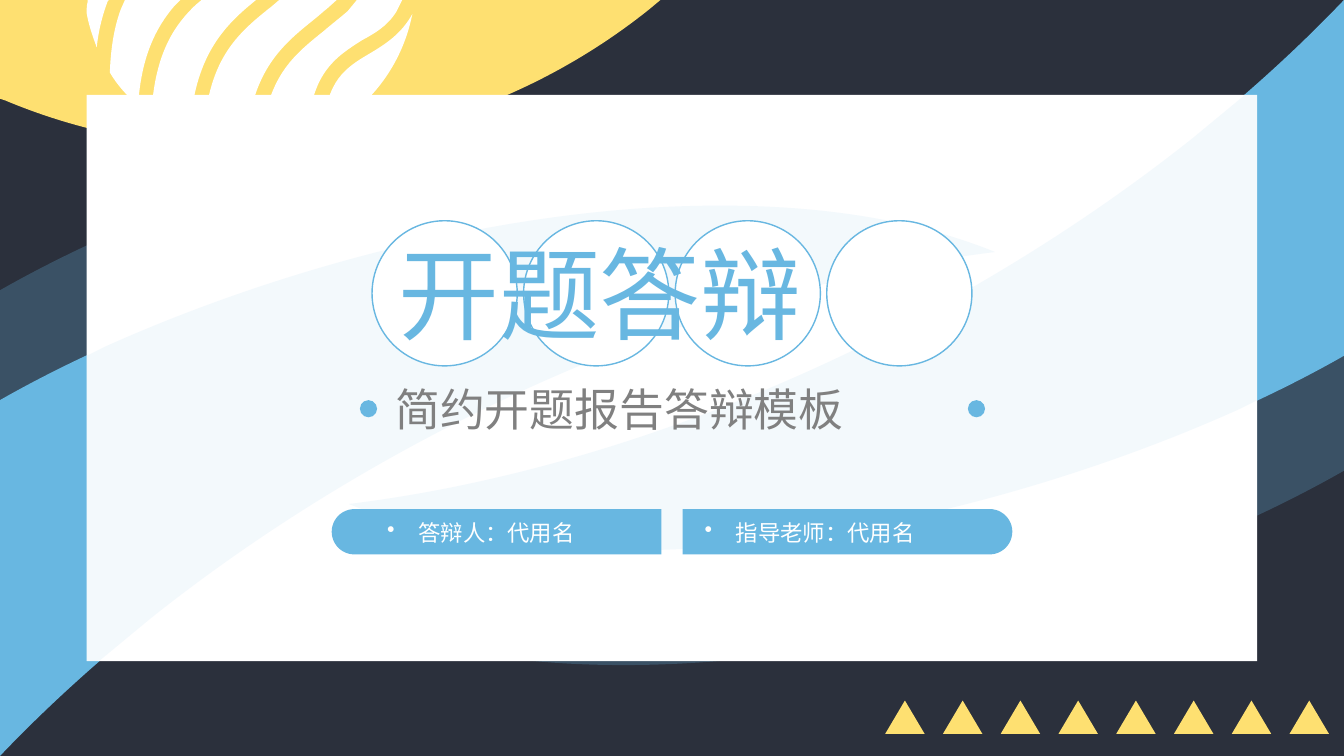
from lxml import etree
from pptx import Presentation
from pptx.dml.color import RGBColor
from pptx.enum.shapes import MSO_SHAPE
from pptx.enum.text import MSO_ANCHOR, MSO_AUTO_SIZE, PP_ALIGN
from pptx.oxml.ns import qn
from pptx.util import Inches, Pt

RECTANGLE, OVAL = MSO_SHAPE.RECTANGLE, MSO_SHAPE.OVAL
TRIANGLE, HALF_PILL = MSO_SHAPE.ISOSCELES_TRIANGLE, MSO_SHAPE.ROUND_2_SAME_RECTANGLE
TOP, GROW, JUSTIFY = MSO_ANCHOR.TOP, MSO_AUTO_SIZE.SHAPE_TO_FIT_TEXT, PP_ALIGN.JUSTIFY

INK = RGBColor(0x2B, 0x30, 0x3C)
SKY = RGBColor(0x68, 0xB7, 0xE1)
YELLOW = RGBColor(0xFE, 0xE0, 0x71)
WHITE = RGBColor(0xFF, 0xFF, 0xFF)
GREY = RGBColor(0x80, 0x80, 0x80)
FONT = "Noto Sans CJK SC"
WIDTH, HEIGHT = 13.33, 7.5

TITLE = "开题答辩"
SUBTITLE = "简约开题报告答辩模板"
# text, text left, pill left, pill rotation
PEOPLE = [("答辩人：代用名", 3.84, 4.7, 270), ("指导老师：代用名", 6.99, 8.18, 90)]

# Outlines in inches: a pair is a line to a point, six numbers are a Bézier curve
BAND = [(0, 2.88), (2.56, 1.42, 7.04, 0.28, 9.87, 1.41),
        (6.26, 1.85, 2.42, 3.87, 0, 6.41), (0, 2.88)]
SKY_DROP = 1.09
CARD_BAND = [(7.17, 2.04), (8.15, 2.04, 9.08, 2.18, 9.87, 2.5),
             (6.94, 2.86, 3.85, 4.26, 1.5, 6.13), (0.98, 6.56), (0.86, 6.56),
             (0.86, 3.53), (1.04, 3.44), (2.82, 2.64, 5.11, 2.03, 7.17, 2.04)]
SUN = [(0, 0), (6.55, 0), (6.43, 0.1), (5.35, 0.96, 3.98, 1.47, 2.47, 1.47),
       (1.62, 1.47, 0.8, 1.31, 0.06, 1), (0, 0.98)]
STRIPES = [
    [(4.09, 0.14), (3.99, 0.65, 3.66, 1.08, 3.21, 1.3),
     (3.23, 0.8, 3.43, 0.67, 3.67, 0.53), (3.82, 0.44, 3.98, 0.34, 4.09, 0.14)],
    [(3.54, 0), (3.99, 0), (3.93, 0.12), (3.84, 0.26, 3.72, 0.33, 3.59, 0.4),
     (3.34, 0.56, 3.06, 0.73, 3.06, 1.37), (2.91, 1.42, 2.75, 1.46, 2.59, 1.47),
     (2.63, 0.77, 2.91, 0.55, 3.21, 0.31), (3.29, 0.24, 3.37, 0.18, 3.45, 0.11)],
    [(2.77, 0), (3.34, 0), (3.24, 0.09), (3.2, 0.12, 3.16, 0.16, 3.12, 0.19),
     (2.81, 0.44, 2.48, 0.7, 2.44, 1.47), (2.3, 1.47, 2.15, 1.45, 2.02, 1.41),
     (2.04, 0.59, 2.36, 0.33, 2.7, 0.06)],
    [(2, 0), (2.54, 0), (2.48, 0.05), (2.18, 0.3, 1.91, 0.62, 1.88, 1.36),
     (1.74, 1.31, 1.62, 1.24, 1.5, 1.16), (1.53, 0.56, 1.71, 0.27, 1.94, 0.05)],
    [(1.24, 0), (1.79, 0), (1.73, 0.06), (1.55, 0.27, 1.4, 0.56, 1.37, 1.05),
     (1.26, 0.95, 1.16, 0.84, 1.09, 0.72), (1.1, 0.45, 1.14, 0.25, 1.2, 0.09)],
    [(0.87, 0), (1.08, 0), (1.07, 0.01), (1.02, 0.14, 0.98, 0.29, 0.96, 0.47),
     (0.92, 0.36, 0.88, 0.25, 0.86, 0.13), (0.86, 0.09, 0.86, 0.05, 0.87, 0.02)],
]


def paint(shape, color, opacity=100, outline=None):
    shape.shadow.inherit = False
    shape.fill.solid()
    shape.fill.fore_color.rgb = color
    if opacity < 100:
        tint = shape.element.spPr.find(".//" + qn("a:srgbClr"))
        etree.SubElement(tint, qn("a:alpha"), val=str(opacity * 1000))
    if outline is None:
        shape.line.fill.background()
    else:
        shape.line.color.rgb = outline
        shape.line.width = Pt(1)


def add_preset(page, kind, left, top, width, height, color, outline=None):
    shape = page.shapes.add_shape(
        kind, Inches(left), Inches(top), Inches(width), Inches(height))
    paint(shape, color, outline=outline)
    return shape


def extent(outlines, axis):
    """Return the least and greatest value the outlines reach along an axis."""
    reached = []
    for outline in outlines:
        for before, step in zip(outline, outline[1:]):
            a, d = before[axis - 2], step[axis - 2]
            reached += [a, d]
            if len(step) == 6:
                b, c = step[axis], step[axis + 2]
                for t in (index / 50 for index in range(1, 50)):
                    u = 1 - t
                    reached.append(u**3 * a + 3 * u * u * t * b
                                   + 3 * u * t * t * c + t**3 * d)
    return Inches(min(reached)), Inches(max(reached))


def add_outline(page, outlines, color, opacity=100):
    (left, right), (top, bottom) = extent(outlines, 0), extent(outlines, 1)
    builder = page.shapes.build_freeform(left, top)
    builder.add_line_segments([(right, bottom)], close=False)
    shape = builder.convert_to_shape()
    route = shape.element.spPr.find(".//" + qn("a:path"))
    for command in list(route):
        route.remove(command)
    for outline in outlines:
        for number, step in enumerate(outline):
            name = "a:cubicBezTo" if len(step) == 6 else "a:lnTo"
            command = etree.SubElement(route, qn(name if number else "a:moveTo"))
            for x, y in zip(step[::2], step[1::2]):
                etree.SubElement(command, qn("a:pt"),
                                 x=str(Inches(x) - left), y=str(Inches(y) - top))
        etree.SubElement(route, qn("a:close"))
    paint(shape, color, opacity)


def shifted(outline, drop):
    return [tuple(value + drop * (i % 2) for i, value in enumerate(step))
            for step in outline]


def half_turned(outline, height=HEIGHT):
    return [tuple((height if i % 2 else WIDTH) - value
                  for i, value in enumerate(step)) for step in outline]


def write(box, text, left, top, width, height, size, color, bullet=False):
    box.left, box.top = Inches(left), Inches(top)
    box.width, box.height = Inches(width), Inches(height)
    frame = box.text_frame
    frame.text = text
    frame.word_wrap = True
    frame.auto_size = GROW
    frame.vertical_anchor = TOP
    frame.margin_left = frame.margin_right = 0
    frame.margin_top = frame.margin_bottom = 0
    para = frame.paragraphs[0]
    if bullet:
        props = para._p.get_or_add_pPr()
        props.set("marL", str(Inches(0.31)))
        props.set("indent", str(-Inches(0.31)))
        etree.SubElement(props, qn("a:buChar"), char="•")
    else:
        para.alignment = JUSTIFY
    span = para.runs[0]
    span.font.name = FONT
    span.font.size = Pt(size)
    span.font.color.rgb = color
    etree.SubElement(span.font._element, qn("a:ea"), typeface=FONT)


def draw_backdrop(page):
    add_preset(page, RECTANGLE, 0, 0, WIDTH, HEIGHT, INK)
    sky_band = shifted(BAND, SKY_DROP)
    add_outline(page, [BAND], SKY, 25)
    add_outline(page, [half_turned(BAND, 7.55)], SKY, 25)
    add_outline(page, [sky_band], SKY)
    add_outline(page, [half_turned(sky_band)], SKY)
    add_outline(page, [SUN], YELLOW)
    add_outline(page, STRIPES, WHITE)
    add_preset(page, RECTANGLE, 0.86, 0.94, 11.61, 5.62, WHITE)
    for outline in (CARD_BAND, half_turned(CARD_BAND)):
        add_outline(page, [outline], SKY, 8)
    for column in range(8):
        add_preset(page, TRIANGLE, 8.78 + column * 4.01 / 7, 6.95, 0.39, 0.33, YELLOW)


def draw_content(page):
    for text, text_left, pill_left, turn in PEOPLE:
        pill = add_preset(page, HALF_PILL, pill_left, 3.64, 0.45, 3.27, SKY)
        pill.adjustments[0], pill.adjustments[1] = 0.5, 0
        pill.rotation = turn
        box = page.shapes.add_textbox(0, 0, 0, 0)
        write(box, text, text_left, 5.15, 2.5, 0.27, 16, WHITE, bullet=True)
    for column in range(4):
        add_preset(page, OVAL, 3.69 + column * 4.51 / 3, 2.19, 1.44, 1.44, WHITE, SKY)
    title = page.shapes.title
    write(title, TITLE, 3.95, 2.3, 5.43, 1.21, 72, SKY)
    title.element.getparent().append(title.element)  # bring in front of the circles
    subtitle = page.shapes.add_textbox(0, 0, 0, 0)
    write(subtitle, SUBTITLE, 3.92, 3.79, 5.5, 0.54, 32, GREY)
    for left in (3.57, 9.6):
        add_preset(page, OVAL, left, 3.97, 0.17, 0.17, SKY)


def main():
    deck = Presentation()
    deck.slide_width, deck.slide_height = Inches(WIDTH), Inches(HEIGHT)
    page = deck.slides.add_slide(deck.slide_layouts[5])
    draw_backdrop(page)
    draw_content(page)
    deck.save("out.pptx")


if __name__ == "__main__":
    main()
